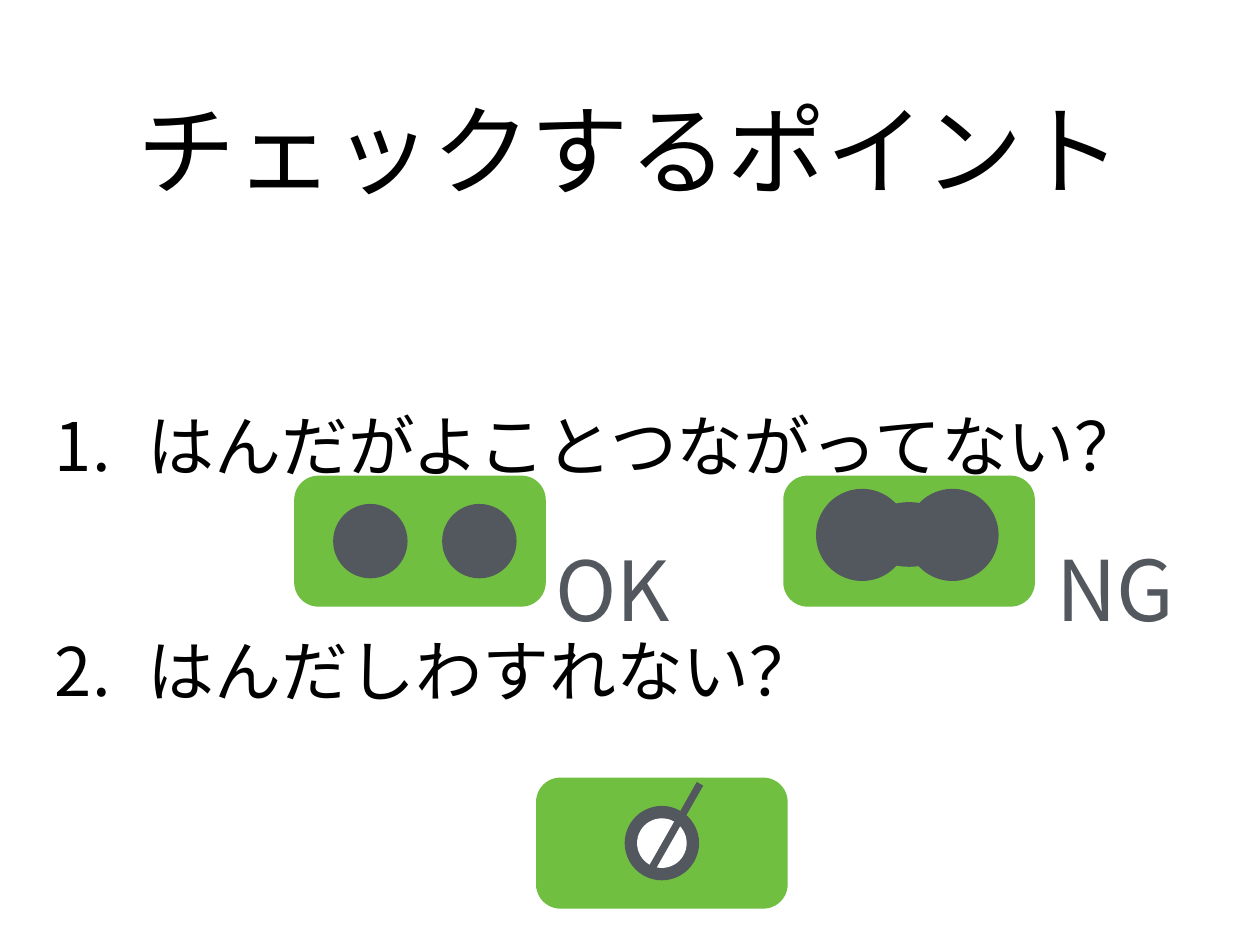
from pptx import Presentation
from pptx.dml.color import RGBColor
from pptx.enum.shapes import MSO_CONNECTOR, MSO_SHAPE
from pptx.enum.text import MSO_ANCHOR, PP_ALIGN
from pptx.oxml.ns import qn
from pptx.util import Inches, Pt
from lxml import etree

FONT = "Noto Sans CJK JP"
BLACK, GREY, GREEN, WHITE = "000000", "53585F", "70BF41", "FFFFFF"
BOARD_SIZE = (2.84, 1.48)
HOLE = 0.84


def colour(value):
    return RGBColor.from_string(value)


def apply_format(target, values):
    for name, value in values.items():
        setattr(target, name, value)


def add_solid(shapes, kind, box, fill):
    shape = shapes.add_shape(kind, *map(Inches, box))
    shape.shadow.inherit = False
    shape.fill.solid()
    shape.fill.fore_color.rgb = colour(fill)
    shape.line.fill.background()
    return shape


def add_circles(shapes, left, top, circles, fill=GREY):
    for x, y, width, height in circles:
        add_solid(shapes, MSO_SHAPE.OVAL, (left + x, top + y, width, height), fill)


def add_board(shapes, left, top):
    board = add_solid(shapes, MSO_SHAPE.ROUNDED_RECTANGLE, (left, top, *BOARD_SIZE), GREEN)
    board.adjustments[0] = 0.186


def add_frame(page, box):
    frame = page.shapes.add_textbox(*map(Inches, box)).text_frame
    margins = dict.fromkeys(
        ("margin_left", "margin_top", "margin_right", "margin_bottom"), Inches(0.06))
    apply_format(frame, {"word_wrap": True, "vertical_anchor": MSO_ANCHOR.MIDDLE, **margins})
    return frame


def write(para, text, size, fill):
    span = para.add_run()
    span.text = text
    apply_format(span.font, {"name": FONT, "size": Pt(size)})
    span.font.color.rgb = colour(fill)
    east_asian = etree.SubElement(span.font._element, qn("a:ea"))
    east_asian.set("typeface", FONT)


def add_title(page, box):
    para = add_frame(page, box).paragraphs[0]
    para.alignment = PP_ALIGN.CENTER
    write(para, "チェックするポイント", 80, BLACK)


def add_questions(page, box, questions):
    frame = add_frame(page, box)
    for number, question in enumerate(questions, 1):
        para = frame.paragraphs[0] if number == 1 else frame.add_paragraph()
        properties = para._p.get_or_add_pPr()
        properties.set("marL", str(Inches(1.05)))
        properties.set("indent", str(-Inches(1.05)))
        bullet = etree.SubElement(properties, qn("a:buAutoNum"))
        bullet.set("type", "arabicPeriod")
        bullet.set("startAt", str(number))
        if number > 1:
            para.space_before = Pt(118)
        write(para, question, 54.4, BLACK)


def add_label(page, box, text, size):
    write(add_frame(page, box).paragraphs[0], text, size, GREY)


def add_separate_board(page, left, top):
    add_board(page.shapes, left, top)
    add_circles(page.shapes, left, top, [(x, 0.32, HOLE, HOLE) for x in (0.44, 1.67)])
    add_label(page, (left + 2.89, top + 0.68, 1.62, 1.19), "OK", 67.2)


def add_bridged_board(page, left, top):
    shapes = page.shapes.add_group_shape().shapes
    add_board(shapes, left, top)
    blobs = [(0.37, 0.15, 1.04, 1.04), (1.39, 0.15, 1.04, 1.04), (0.9, 0.3, 1.04, 0.73)]
    add_circles(shapes, left, top, blobs)
    add_label(page, (left + 3.02, top + 0.68, 1.62, 1.19), "NG", 68)


def add_unsoldered_board(page, left, top):
    add_board(page.shapes, left, top)
    add_circles(page.shapes, left, top, [(1, 0.32, HOLE, HOLE)])
    add_circles(page.shapes, left, top, [(1.14, 0.46, 0.56, 0.56)], WHITE)
    ends = (left + 1.31, top + 1.02, left + 1.85, top + 0.07)
    lead = page.shapes.add_connector(MSO_CONNECTOR.STRAIGHT, *map(Inches, ends))
    lead.line.color.rgb = colour(GREY)
    lead.line.width = Pt(6)
    etree.SubElement(lead._element.spPr, qn("a:effectLst"))


def main():
    deck = Presentation()
    apply_format(deck, {"slide_width": Inches(14.22), "slide_height": Inches(10.67)})
    page = deck.slides.add_slide(deck.slide_layouts[6])
    add_title(page, (0.14, 0.49, 13.93, 2.36))
    add_questions(page, (0.56, 4.11, 13.5, 4.37),
                  ["はんだがよことつながってない？", "はんだしわすれない？"])
    add_separate_board(page, 3.32, 5.37)
    add_bridged_board(page, 8.84, 5.37)
    add_unsoldered_board(page, 6.05, 8.78)
    deck.save("out.pptx")


if __name__ == "__main__":
    main()
